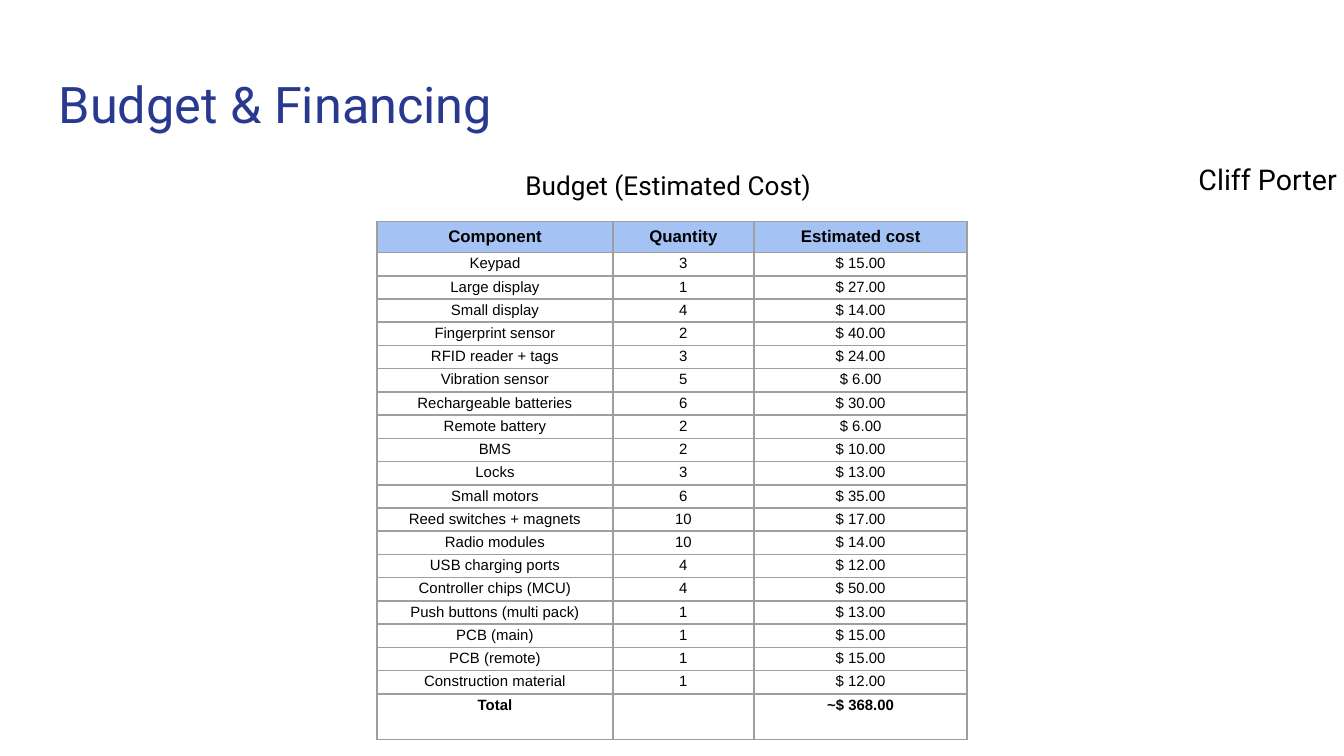
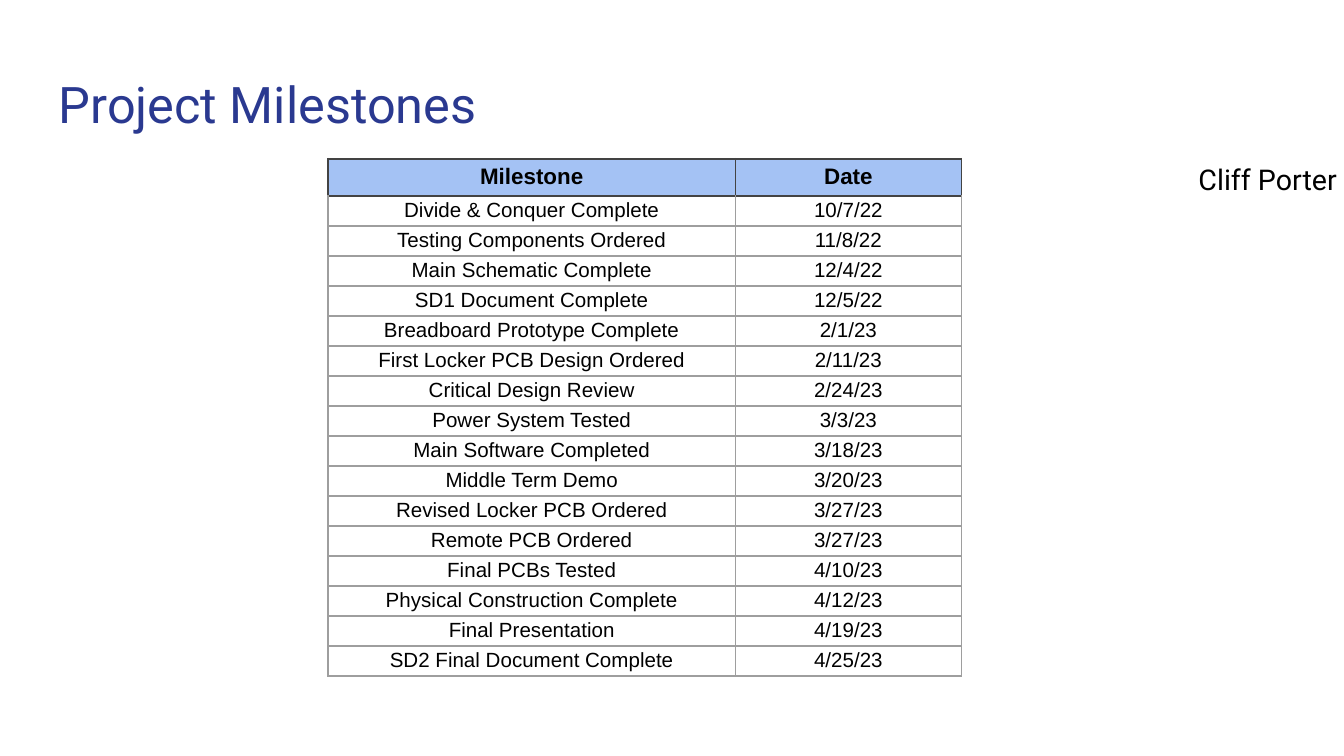
from lxml.etree import SubElement
from pptx import Presentation
from pptx.dml.color import RGBColor
from pptx.enum.text import MSO_ANCHOR, PP_ALIGN
from pptx.oxml.ns import qn
from pptx.util import Cm, Pt

NAVY = RGBColor(0x2A, 0x39, 0x90)
BLACK = RGBColor(0x00, 0x00, 0x00)
SKY = RGBColor(0xA4, 0xC2, 0xF4)
GRAY = RGBColor(0x9E, 0x9E, 0x9E)
CHARCOAL = RGBColor(0x43, 0x43, 0x43)

BUDGET = [
    ("Component", "Quantity", "Estimated cost"),
    ("Keypad", "3", "$ 15.00"),
    ("Large display", "1", "$ 27.00"),
    ("Small display", "4", "$ 14.00"),
    ("Fingerprint sensor", "2", "$ 40.00"),
    ("RFID reader + tags", "3", "$ 24.00"),
    ("Vibration sensor", "5", "$ 6.00"),
    ("Rechargeable batteries", "6", "$ 30.00"),
    ("Remote battery", "2", "$ 6.00"),
    ("BMS", "2", "$ 10.00"),
    ("Locks", "3", "$ 13.00"),
    ("Small motors", "6", "$ 35.00"),
    ("Reed switches + magnets", "10", "$ 17.00"),
    ("Radio modules", "10", "$ 14.00"),
    ("USB charging ports", "4", "$ 12.00"),
    ("Controller chips (MCU)", "4", "$ 50.00"),
    ("Push buttons (multi pack)", "1", "$ 13.00"),
    ("PCB (main)", "1", "$ 15.00"),
    ("PCB (remote)", "1", "$ 15.00"),
    ("Construction material", "1", "$ 12.00"),
    ("Total", "", "~$ 368.00"),
]

MILESTONES = [
    ("Milestone", "Date"),
    ("Divide & Conquer Complete", "10/7/22"),
    ("Testing Components Ordered", "11/8/22"),
    ("Main Schematic Complete", "12/4/22"),
    ("SD1 Document Complete", "12/5/22"),
    ("Breadboard Prototype Complete", "2/1/23"),
    ("First Locker PCB Design Ordered", "2/11/23"),
    ("Critical Design Review", "2/24/23"),
    ("Power System Tested", "3/3/23"),
    ("Main Software Completed", "3/18/23"),
    ("Middle Term Demo", "3/20/23"),
    ("Revised Locker PCB Ordered", "3/27/23"),
    ("Remote PCB Ordered", "3/27/23"),
    ("Final PCBs Tested", "4/10/23"),
    ("Physical Construction Complete", "4/12/23"),
    ("Final Presentation", "4/19/23"),
    ("SD2 Final Document Complete", "4/25/23"),
]


def write(frame, text, *, size, font="Arial", color=BLACK, bold=False, align=PP_ALIGN.LEFT):
    paragraph = frame.paragraphs[0]
    paragraph.alignment = align
    run = paragraph.add_run()
    run.text = text
    run.font.size = Pt(size)
    run.font.name = font
    run.font.color.rgb = color
    run.font.bold = bold


def outline(cell, color, top):
    properties = cell._tc.get_or_add_tcPr()
    for side, side_color in (("L", color), ("R", color), ("T", top), ("B", color)):
        line = SubElement(properties, qn(f"a:ln{side}"), w=str(Pt(1)))
        fill = SubElement(line, qn("a:solidFill"))
        SubElement(fill, qn("a:srgbClr"), val=str(side_color))


class Deck:
    heading_font = "Roboto"

    def __init__(self):
        self.presentation = Presentation()
        self.presentation.slide_width = Cm(25.4)
        self.presentation.slide_height = Cm(14.29)
        self.slide = None

    def start(self, title):
        self.slide = self.presentation.slides.add_slide(self.presentation.slide_layouts[6])
        self.label(title, 0.86, 1.14, 23.67, 1.68, size=27, color=NAVY)

    def label(self, text, left, top, width, height, **style):
        frame = self.slide.shapes.add_textbox(Cm(left), Cm(top), Cm(width), Cm(height)).text_frame
        frame.word_wrap = True
        frame.margin_left = frame.margin_right = Cm(0.25)
        frame.margin_top = frame.margin_bottom = Cm(0.25)
        write(frame, text, font=self.heading_font, **style)

    def presenter(self, name):
        self.label(name, 22.4, 2.82, 6.48, 1.17, size=15.3)

    def table(self, records, left, top, widths, heights, *, header_size, body_size,
              header_line=GRAY, total=False):
        table = self.slide.shapes.add_table(
            len(records), len(widths), Cm(left), Cm(top), Cm(sum(widths)), Cm(sum(heights))
        ).table
        table.first_row = table.horz_banding = False
        for column, width in zip(table.columns, widths):
            column.width = Cm(width)
        for row, height in zip(table.rows, heights):
            row.height = Cm(height)
        for index, record in enumerate(records):
            header = index == 0
            bold = header or (total and index == len(records) - 1)
            for column, value in enumerate(record):
                cell = table.cell(index, column)
                cell.margin_left = cell.margin_right = Cm(0.1)
                cell.margin_top = cell.margin_bottom = Cm(0.1 if header else 0.05)
                cell.vertical_anchor = MSO_ANCHOR.TOP
                outline(cell, header_line if header else GRAY, header_line if index < 2 else GRAY)
                if header:
                    cell.fill.solid()
                    cell.fill.fore_color.rgb = SKY
                else:
                    cell.fill.background()
                write(cell.text_frame, value, size=header_size if header else body_size,
                      bold=bold, align=PP_ALIGN.CENTER)


def main():
    deck = Deck()

    deck.start("Budget & Financing")
    deck.table(BUDGET, 7.13, 4.19, [4.45, 2.67, 4.03],
               [0.57] + [0.42] * (len(BUDGET) - 2) + [0.81],
               header_size=9, body_size=8, total=True)
    deck.label("Budget (Estimated Cost)", 9.68, 2.95, 6.07, 1.12, size=14)
    deck.presenter("Cliff Porter")

    deck.start("Project Milestones")
    deck.table(MILESTONES, 6.2, 3, [7.7, 4.27],
               [0.68] + [0.53] * (len(MILESTONES) - 1),
               header_size=12, body_size=11, header_line=CHARCOAL)
    deck.presenter("Cliff Porter")

    deck.presentation.save("out.pptx")


if __name__ == "__main__":
    main()
